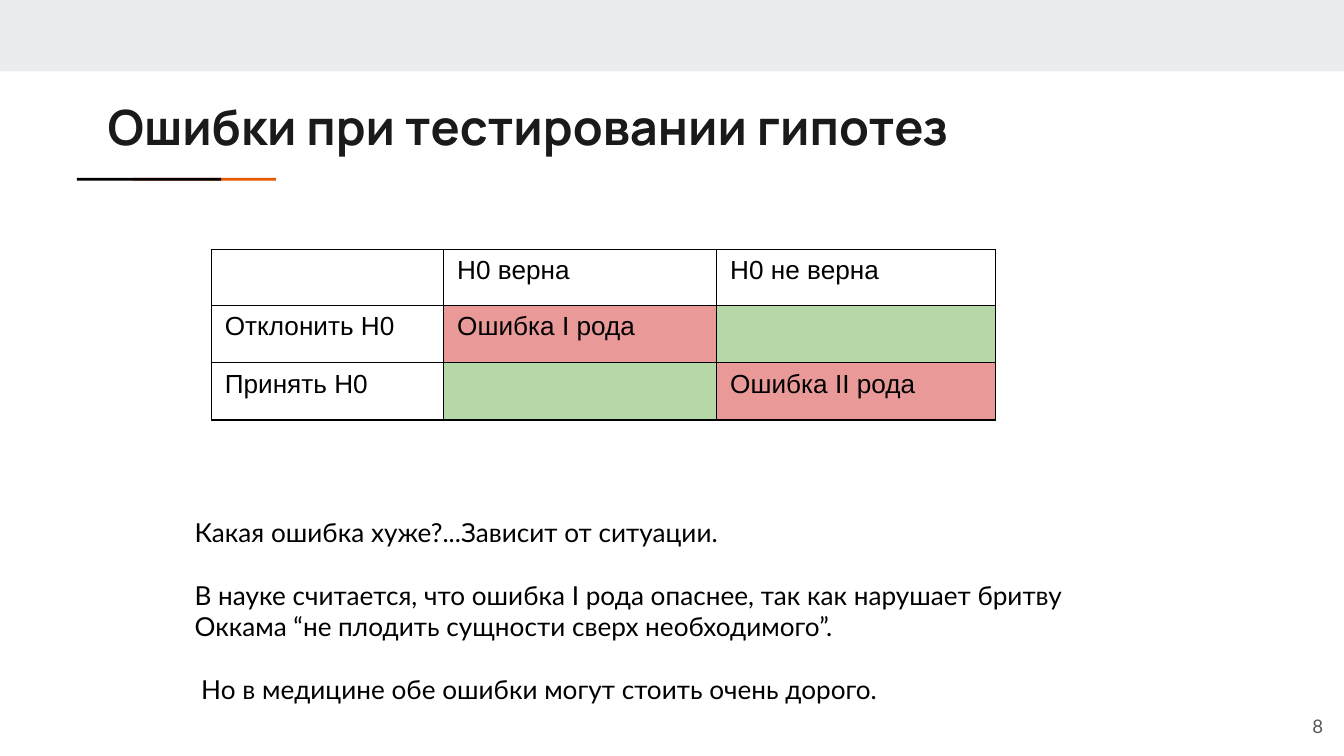
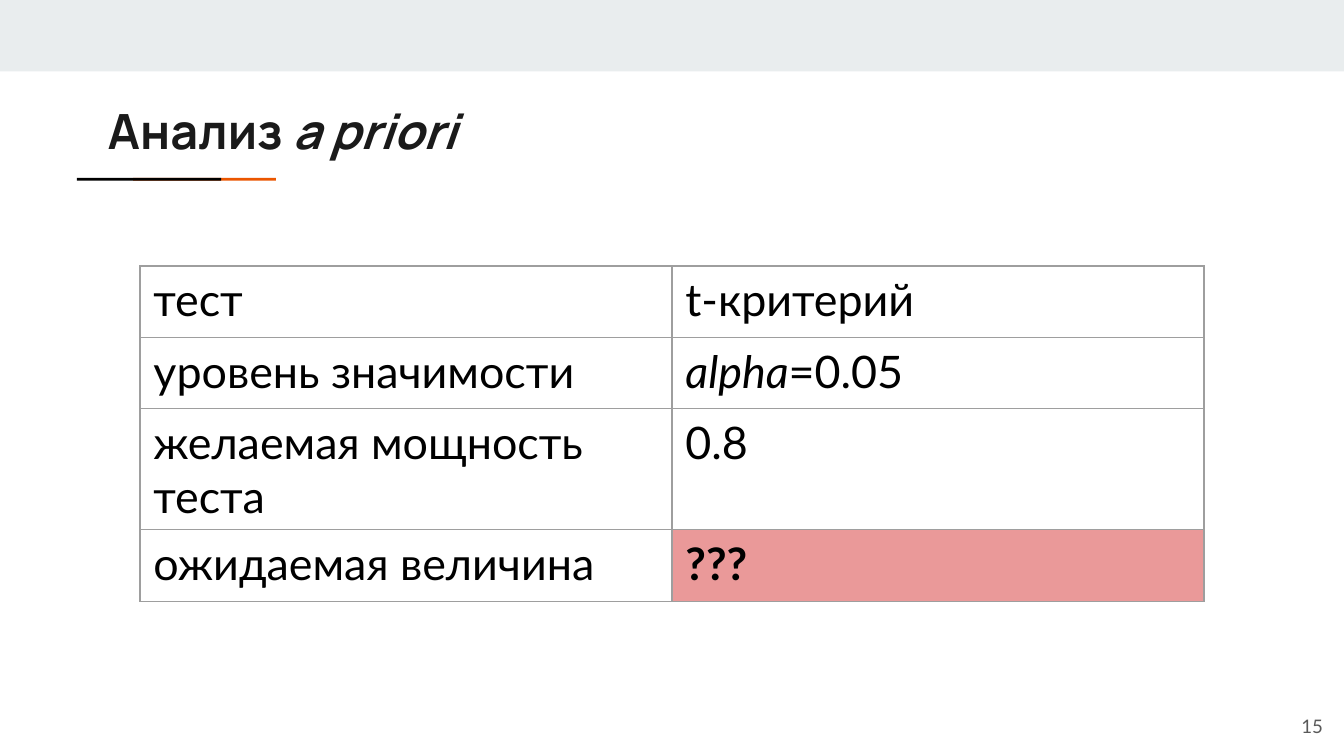
import pptx
import pptx.dml.color
import pptx.enum.shapes
import pptx.enum.text
import pptx.oxml
import pptx.oxml.ns
import pptx.util

RGBColor = pptx.dml.color.RGBColor
ALIGN = pptx.enum.text.PP_ALIGN
ANCHOR = pptx.enum.text.MSO_ANCHOR

BAND = RGBColor(0xE9, 0xED, 0xEE)
ORANGE = RGBColor(0xEB, 0x56, 0x00)
BLACK = RGBColor(0x00, 0x00, 0x00)
TITLE = RGBColor(0x1A, 0x1A, 0x1A)
PAGE_NUMBER = RGBColor(0x59, 0x59, 0x59)
GRID = RGBColor(0x9E, 0x9E, 0x9E)
RED = RGBColor(0xEA, 0x99, 0x99)
GREEN = RGBColor(0xB6, 0xD7, 0xA8)

EMU_PER_PX = 9525
WIDTH, HEIGHT = 960, 540
INSET = 10


def px(*lengths):
    return [pptx.util.Emu(length * EMU_PER_PX) for length in lengths]


def write(frame, *paragraphs, font="Lato", size=14, color=BLACK, bold=False,
          align=ALIGN.LEFT, gap=0):
    """Fill a frame; a paragraph is a string or a list of (text, style) spans."""
    for index, content in enumerate(paragraphs):
        para = frame.add_paragraph() if index else frame.paragraphs[0]
        para.alignment = align
        if index:
            para.space_before = pptx.util.Pt(gap)
        spans = [(content, "")] if isinstance(content, str) else content
        for text, style in spans:
            span = para.add_run()
            span.text = text
            span.font.name = font
            span.font.size = pptx.util.Pt(size)
            span.font.color.rgb = color
            span.font.bold = bold or style == "bold"
            span.font.italic = style == "italic"


def draw_borders(cell, color):
    properties = cell._tc.get_or_add_tcPr()
    for side in ("lnL", "lnR", "lnT", "lnB"):
        properties.append(pptx.oxml.parse_xml(
            f'<a:{side} {pptx.oxml.ns.nsdecls("a")} w="{pptx.util.Pt(0.75)}">'
            f'<a:solidFill><a:srgbClr val="{color}"/></a:solidFill></a:{side}>'))


class Lecture:
    """The deck, its shared style and the slide being filled."""

    def __init__(self):
        self.deck = pptx.Presentation()
        self.deck.slide_width, self.deck.slide_height = px(WIDTH, HEIGHT)
        self.slide = None

    def start_slide(self, number, title, title_top):
        self.slide = self.deck.slides.add_slide(self.deck.slide_layouts[6])
        self.rect(0, 0, WIDTH, 51, BAND)
        self.rect(95, 127, 102, 2, ORANGE)
        self.rect(55, 127, 103, 2, BLACK)
        self.text(77, title_top, 807, 57, title, side_inset=0,
                  font="Manrope", size=26, color=TITLE, bold=True)
        self.text(897, 498, 58, 41, str(number), anchor=ANCHOR.MIDDLE,
                  size=10, color=PAGE_NUMBER, align=ALIGN.RIGHT)

    def rect(self, left, top, width, height, color):
        shape = self.slide.shapes.add_shape(
            pptx.enum.shapes.MSO_SHAPE.RECTANGLE, *px(left, top, width, height))
        shape.shadow.inherit = False
        shape.fill.solid()
        shape.fill.fore_color.rgb = color
        shape.line.fill.background()

    def text(self, left, top, width, height, *paragraphs, side_inset=INSET,
             anchor=ANCHOR.TOP, **style):
        box = self.slide.shapes.add_textbox(*px(left, top, width, height))
        frame = box.text_frame
        frame.word_wrap = True
        frame.vertical_anchor = anchor
        frame.margin_left, frame.margin_right = px(side_inset, side_inset)
        frame.margin_top, frame.margin_bottom = px(INSET, INSET)
        write(frame, *paragraphs, **style)

    def table(self, left, top, columns, rows, contents, fills, border, **style):
        """Draw a table; fills maps (row, column) to a cell colour."""
        table = self.slide.shapes.add_table(
            len(rows), len(columns),
            *px(left, top, sum(columns), sum(rows))).table
        table.first_row = table.horz_banding = False
        for column, width in zip(table.columns, px(*columns)):
            column.width = width
        for row, height in zip(table.rows, px(*rows)):
            row.height = height
        for r, line in enumerate(contents):
            for c, content in enumerate(line):
                cell = table.cell(r, c)
                draw_borders(cell, border)
                if (r, c) in fills:
                    cell.fill.solid()
                    cell.fill.fore_color.rgb = fills[r, c]
                else:
                    cell.fill.background()
                if content:
                    write(cell.text_frame, content, **style)


def add_error_types(lecture):
    lecture.start_slide(8, "Ошибки при тестировании гипотез", 59)
    lecture.table(
        151, 178, [166, 195, 199], [40, 41, 41],
        [["", "H0 верна", "Н0 не верна"],
         ["Отклонить H0", "Ошибка I рода", ""],
         ["Принять H0", "", "Ошибка II рода"]],
        {(1, 1): RED, (1, 2): GREEN, (2, 1): GREEN, (2, 2): RED},
        BLACK, font="Arial")
    lecture.text(
        129, 359, 694, 113,
        "Какая ошибка хуже?...Зависит от ситуации.",
        "В науке считается, что ошибка I рода опаснее, так как нарушает бритву "
        "Оккама “не плодить сущности сверх необходимого”.",
        " Но в медицине обе ошибки могут стоить очень дорого.",
        gap=16.8)


def add_a_priori_analysis(lecture):
    lecture.start_slide(15, [("Анализ ", ""), ("a priori", "italic")], 62)
    lecture.table(
        100, 190, [380, 380], [51, 51, 84, 51],
        [["тест", "t-критерий"],
         ["уровень значимости", [("alpha", "italic"), ("=0.05", "")]],
         ["желаемая мощность теста", "0.8"],
         ["ожидаемая величина", [("???", "bold")]]],
        {(3, 1): RED}, GRID, size=24)


def main():
    lecture = Lecture()
    add_error_types(lecture)
    add_a_priori_analysis(lecture)
    lecture.deck.save("out.pptx")


if __name__ == "__main__":
    main()
